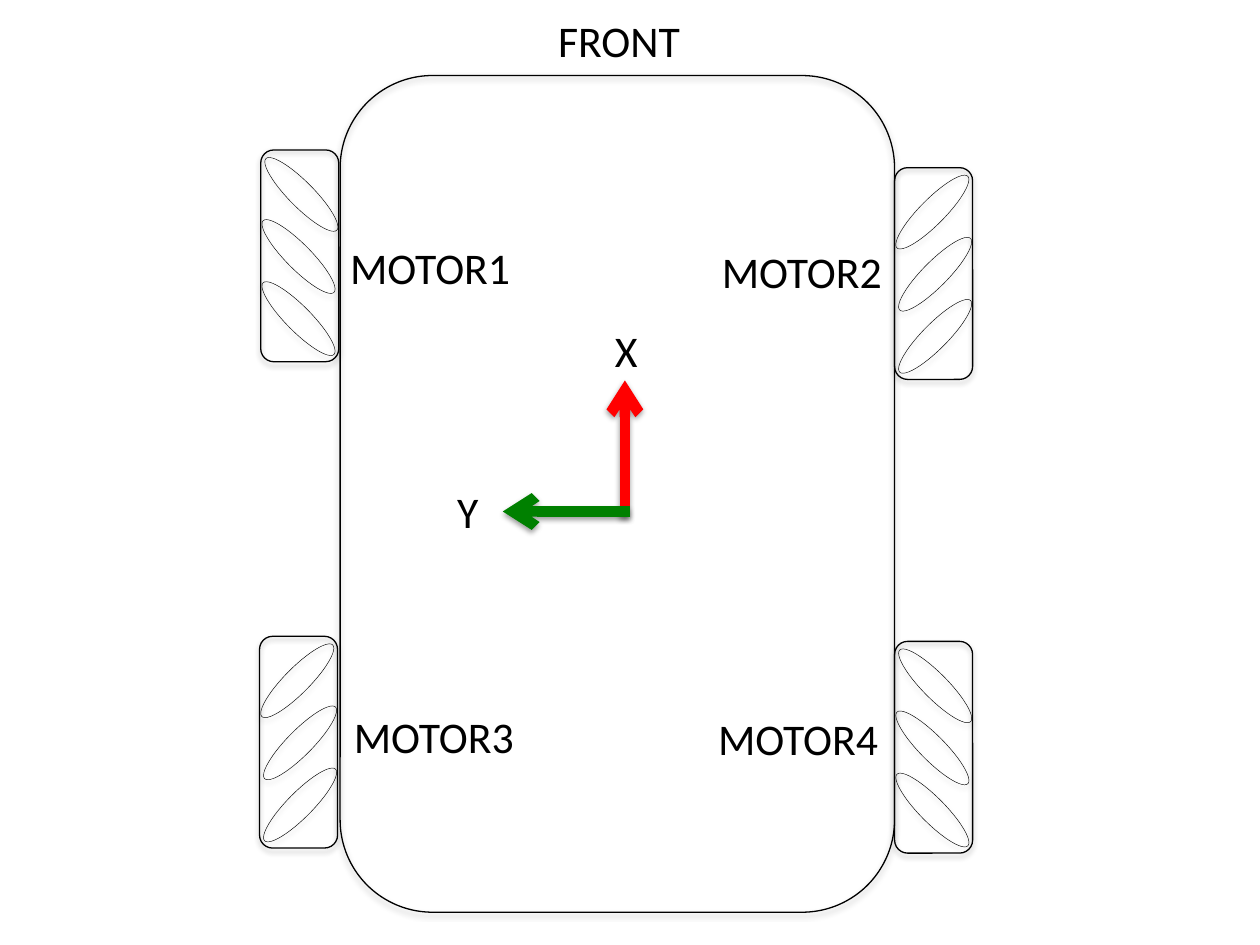
from lxml import etree
from pptx import Presentation
from pptx.dml.color import RGBColor
from pptx.enum.shapes import MSO_CONNECTOR, MSO_SHAPE
from pptx.oxml.ns import qn
from pptx.util import Pt

ROUND, OVAL = MSO_SHAPE.ROUNDED_RECTANGLE, MSO_SHAPE.OVAL
STRAIGHT = MSO_CONNECTOR.STRAIGHT

COLORS = {"ink": "000000", "x": "FF0000", "y": "008000"}
BODY = (194.4, 43.2, 316.8, 478.1)
WHEEL_W, WHEEL_H = 44.6, 121
ROLLER_W, ROLLER_H = 57.6, 14.4
ROLLER_TOP, ROLLER_STEP, ROLLER_SHIFT = 18.2, 35.5, 1.6
TILT = 45.3
REAR_LEFT = (148.3, 363.6, -1)
OTHER_WHEELS = [(149, 85.7, 1), (511.2, 366.5, 1), (511.2, 95.8, -1)]
AXES = [
    ("x", (357.1, 295.2), (357.1, 217.4)),
    ("y", (360, 292.3), (287.3, 292.3)),
]
LABELS = [
    ("X", 344.2, 181.4, 27.4, 37.4),
    ("Y", 254.2, 273.6, 26.6, 67.7),
    ("MOTOR1", 193, 133.9, 108, 37.4),
    ("MOTOR2", 405.4, 136.1, 108, 37.4),
    ("MOTOR3", 195.1, 401.8, 108, 37.4),
    ("MOTOR4", 403.2, 403.2, 108.7, 37.4),
    ("FRONT", 311.8, 4.3, 85, 37.4),
]


def add_shadow(sp, alpha, dist):
    effects = etree.SubElement(sp._element.spPr, qn("a:effectLst"))
    outer = etree.SubElement(effects, qn("a:outerShdw"), blurRad=str(Pt(3.15)),
                             dist=str(Pt(dist)), dir="5400000", rotWithShape="0")
    color = etree.SubElement(outer, qn("a:srgbClr"), val=COLORS["ink"])
    etree.SubElement(color, qn("a:alpha"), val=str(alpha * 1000))


def add_outline(shapes, kind, box, weight, rotation=0):
    sp = shapes.add_shape(kind, *map(Pt, box))
    sp.rotation = rotation
    sp.fill.background()
    sp.line.color.rgb = RGBColor.from_string(COLORS["ink"])
    sp.line.width = Pt(weight)
    add_shadow(sp, 35, 1.8)


def add_wheel(left, top, lean):
    wheel = s.shapes.add_group_shape().shapes
    add_outline(wheel, ROUND, (left, top, WHEEL_W, WHEEL_H), 0.75)
    for i in reversed(range(3)):
        shift = ROLLER_SHIFT * (lean if i == 0 else 0)
        base = -7.2 if lean > 0 else -5.6
        x = left + base + shift
        y = top + ROLLER_TOP + i * ROLLER_STEP
        add_outline(wheel, OVAL, (x, y, ROLLER_W, ROLLER_H), 0.25, lean * TILT % 360)


def add_label(text, left, top, width, height, size=25, font="Calibri", color="ink"):
    tf = s.shapes.add_textbox(*map(Pt, (left, top, width, height))).text_frame
    tf.word_wrap = False
    r = tf.paragraphs[0].add_run()
    r.text = text
    r.font.size = Pt(size)
    r.font.name = font
    r.font.color.rgb = RGBColor.from_string(COLORS[color])


prs = Presentation()
prs.slide_width, prs.slide_height = Pt(720), Pt(540)
s = prs.slides.add_slide(prs.slide_layouts[6])

add_wheel(*REAR_LEFT)
add_outline(s.shapes, ROUND, BODY, 0.75)
for wheel in OTHER_WHEELS:
    add_wheel(*wheel)

for color, start, end in AXES:
    axis = s.shapes.add_connector(STRAIGHT, *map(Pt, start + end))
    axis.line.color.rgb = RGBColor.from_string(COLORS[color])
    axis.line.width = Pt(6)
    etree.SubElement(axis.line._get_or_add_ln(), qn("a:tailEnd"), type="arrow")
    add_shadow(axis, 38, 1.6)

for label in LABELS:
    add_label(*label)

prs.save("out.pptx")
